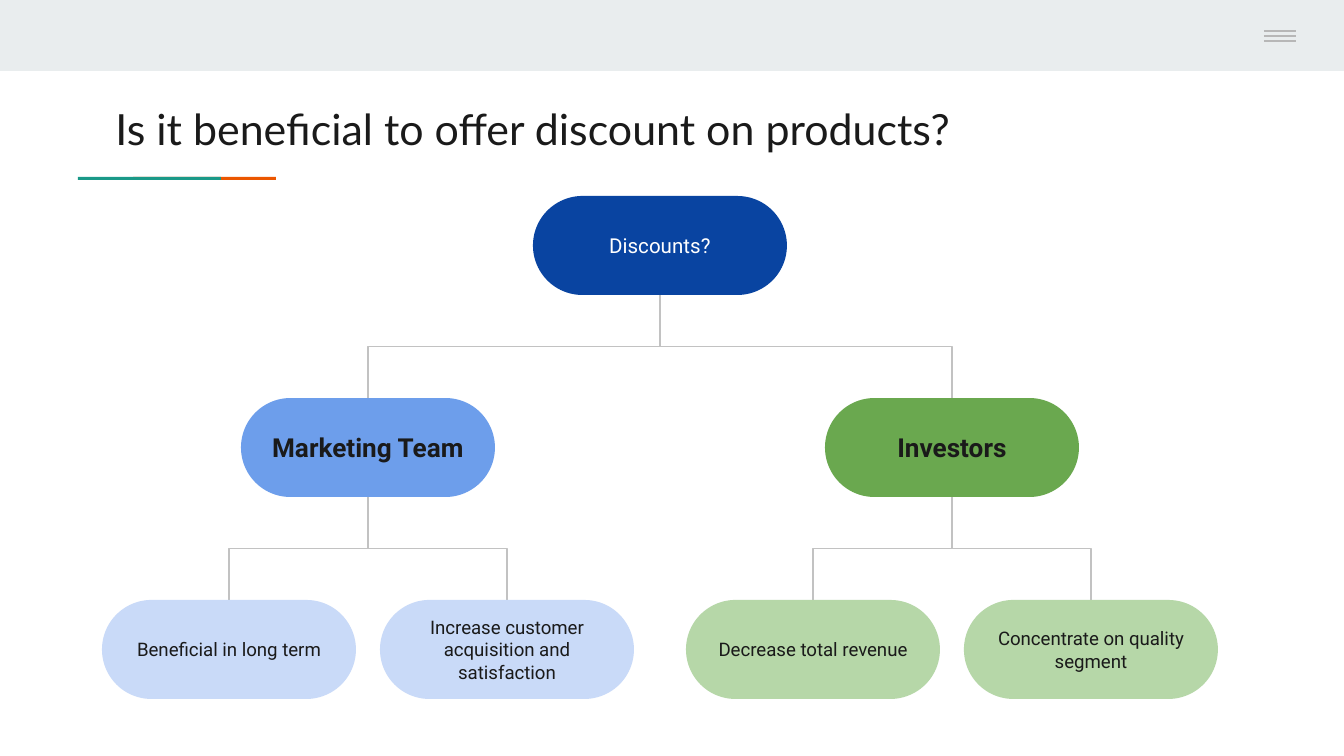
from lxml import etree
from pptx import Presentation
from pptx import util as u
from pptx.dml.color import RGBColor
from pptx.enum import shapes, text
from pptx.oxml.ns import qn

EMU_PER_PX = 914400 / 134.4
INK = "1A1A1A"
NODE_W, NODE_H = 254, 99
LEVEL_STEP = 202
QUARTER_TURN_LEFT = "16200000"

TREE = ("Discounts?", "0944A1", [
    ("Marketing Team", "6D9EEB", [
        ("Beneficial in long term", "C9DAF8", []),
        ("Increase customer acquisition and satisfaction", "C9DAF8", []),
    ]),
    ("Investors", "6AA84F", [
        ("Decrease total revenue", "B6D7A8", []),
        ("Concentrate on quality segment", "B6D7A8", []),
    ]),
])
# For each level: font size, bold, font colour, distance of children from the centre
LEVELS = [(11, False, "FFFFFF", 292), (14, True, INK, 139), (10, False, INK, 0)]


def px(length):
    return u.Emu(round(length * EMU_PER_PX))


def color(hex_string):
    return RGBColor.from_string(hex_string)


def add_block(slide, kind, left, top, width, height, fill):
    block = slide.shapes.add_shape(kind, px(left), px(top), px(width), px(height))
    block.shadow.inherit = False
    block.fill.solid()
    block.fill.fore_color.rgb = color(fill)
    block.line.fill.background()
    return block


def add_line(slide, kind, x1, y1, x2, y2, stroke):
    line = slide.shapes.add_connector(kind, px(x1), px(y1), px(x2), px(y2))
    line.line.color.rgb = color(stroke)
    line.line.width = u.Pt(0.75)
    etree.SubElement(line._element.spPr, qn("a:effectLst"))
    return line


def add_text(frame, wording, size, font, fill, align, bold=False):
    frame.word_wrap = True
    frame.margin_left = frame.margin_right = u.Inches(0.1)
    frame.margin_top = frame.margin_bottom = u.Inches(0.1)
    paragraph = frame.paragraphs[0]
    paragraph.alignment = align
    run = paragraph.add_run()
    run.text = wording
    run.font.size = u.Pt(size)
    run.font.name = font
    run.font.bold = bold
    run.font.color.rgb = color(fill)
    return paragraph


def add_header(slide, left, top, width, height):
    """Grey band with a menu icon at its right end."""
    rect = shapes.MSO_SHAPE.RECTANGLE
    add_block(slide, rect, left, top, width, height, "E9EDEE")
    icon_left = left + width - 80
    for bar in range(3):
        y = top + 31 + 5 * bar
        add_line(slide, shapes.MSO_CONNECTOR.STRAIGHT,
                 icon_left, y, icon_left + 32, y, "B7B7B7")


def add_title(slide, left, top, width, height):
    """Title with a two-coloured rule under it."""
    rect = shapes.MSO_SHAPE.RECTANGLE
    for offset, fill in ((31, "EB5600"), (-24, "1A9988")):
        add_block(slide, rect, left + offset, top + 96, 143, 3, fill)
    title = slide.shapes.title
    title.left, title.top = px(left), px(top)
    title.width, title.height = px(width), px(height)
    frame = title.text_frame
    frame.auto_size = text.MSO_AUTO_SIZE.NONE
    frame.vertical_anchor = text.MSO_ANCHOR.TOP
    heading = add_text(frame, "Is it beneficial to offer discount on products?",
                       23, "Lato", INK, text.PP_ALIGN.LEFT)
    heading.line_spacing = 1.15
    heading.space_after = u.Pt(16)


def add_branch(slide, parent_x, parent_y, child_x, child_y):
    """Elbow that leaves the parent downwards: a quarter-turned connector."""
    drop, spread = child_y - parent_y, abs(child_x - parent_x)
    left = (parent_x + child_x - drop) / 2
    top = (parent_y + child_y - spread) / 2
    start, end = left, left + drop
    if child_x > parent_x:
        start, end = end, start
    branch = add_line(slide, shapes.MSO_CONNECTOR.ELBOW,
                      start, top, end, top + spread, "C2C2C2")
    branch._element.spPr.find(qn("a:xfrm")).set("rot", QUARTER_TURN_LEFT)


def add_tree(slide, node, center, top, level=0):
    """Node with its branches and, below them, its children."""
    wording, fill, children = node
    size, bold, ink, reach = LEVELS[level]
    for side, child in zip((-1, 1), children):
        child_center, child_top = center + side * reach, top + LEVEL_STEP
        add_branch(slide, center, top + NODE_H, child_center, child_top)
        add_tree(slide, child, child_center, child_top, level + 1)
    pill = add_block(slide, shapes.MSO_SHAPE.ROUNDED_RECTANGLE,
                     center - NODE_W / 2, top, NODE_W, NODE_H, fill)
    pill.adjustments[0] = 0.5
    pill.text_frame.vertical_anchor = text.MSO_ANCHOR.MIDDLE
    add_text(pill.text_frame, wording, size, "Roboto", ink,
             text.PP_ALIGN.CENTER, bold)


def main():
    deck = Presentation()
    deck.slide_width, deck.slide_height = px(1344), px(756)
    slide = deck.slides.add_slide(deck.slide_layouts.get_by_name("Title Only"))
    add_header(slide, 0, 0, 1344, 71)
    add_title(slide, 102, 81, 1130, 81)
    add_tree(slide, TREE, 660, 196)
    deck.save("out.pptx")


if __name__ == "__main__":
    main()
